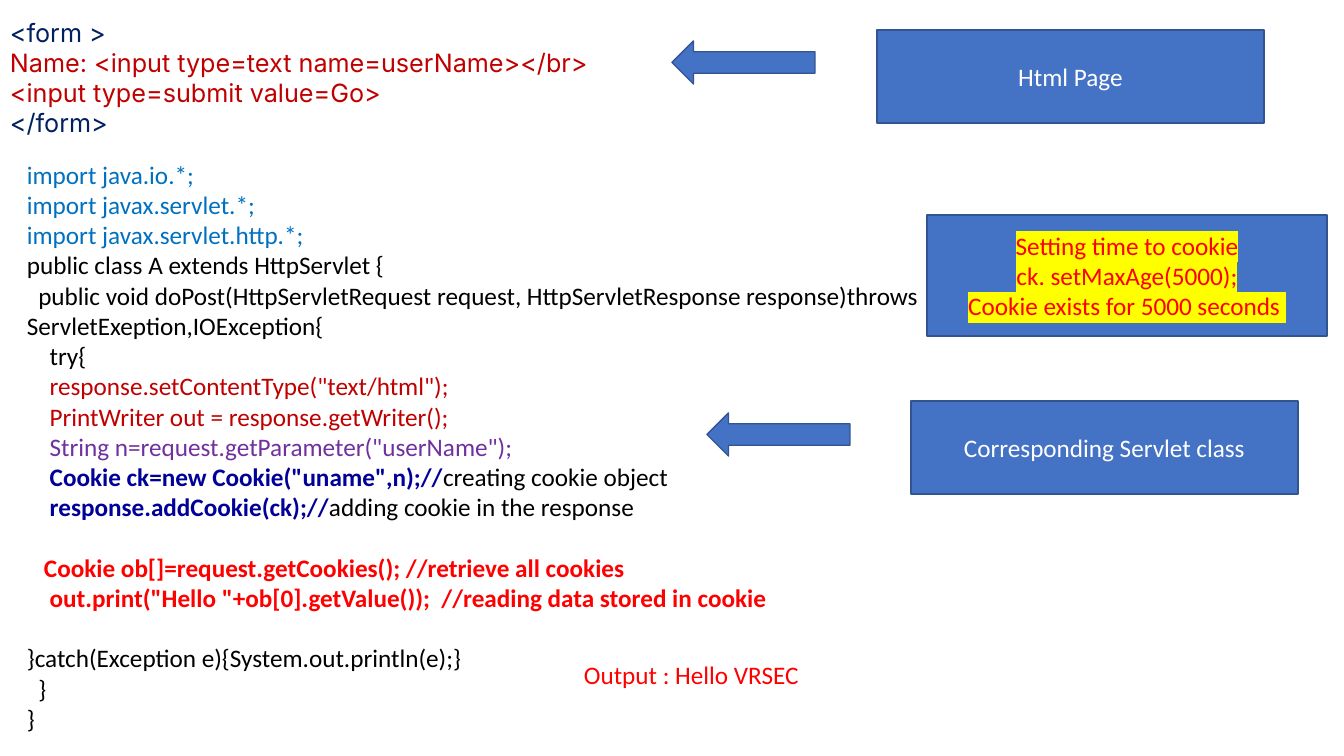
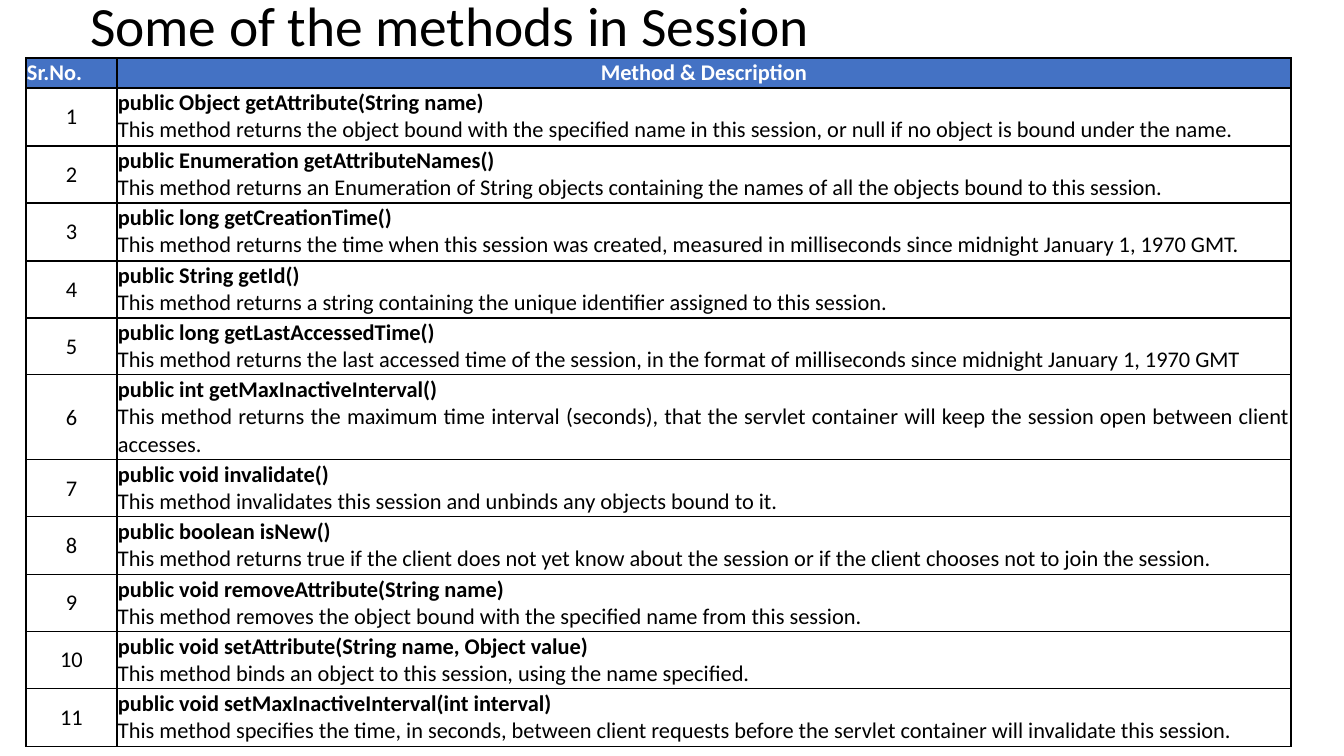
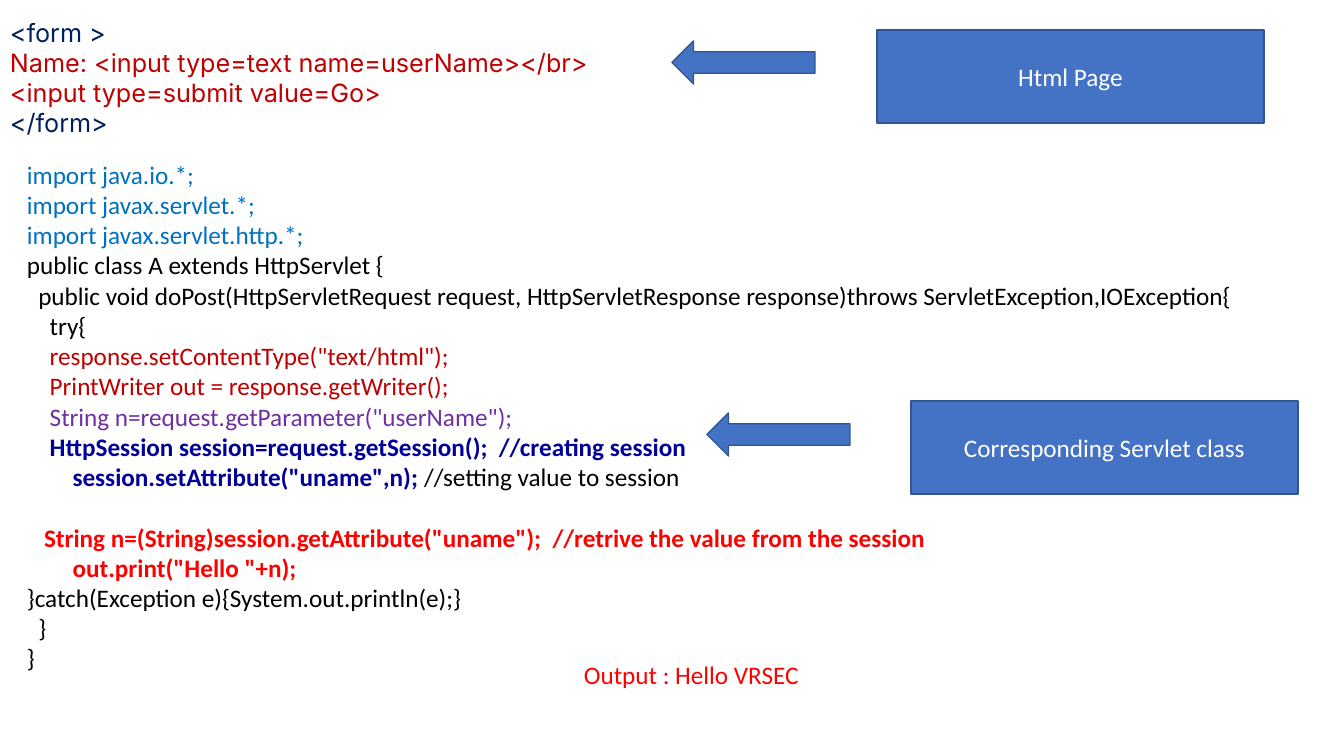
from itertools import pairwise

from lxml.etree import SubElement
from pptx import Presentation
from pptx.dml.color import RGBColor
from pptx.enum.shapes import MSO_SHAPE as SHAPE
from pptx.enum.text import MSO_ANCHOR as ANCHOR, MSO_AUTO_SIZE as AUTO, PP_ALIGN as ALIGN
from pptx.oxml import parse_xml
from pptx.oxml.ns import nsdecls, qn
from pptx.util import Emu, Pt

BLACK, WHITE, RED, YELLOW = "000000", "FFFFFF", "FF0000", "FFFF00"
BLUE, EDGE, SKY, NAVY = "4472C4", "325491", "0070C0", "002060"
MAROON, PURPLE, INDIGO = "C00000", "7030A0", "000099"
SPACE = 5.7
CODE_LINE = 21.6


def px(n):
    """Turn pixels into EMU."""
    return Emu(round(n * 914400 / 100.8))


def rgb(value):
    """Turn a hex string into a colour."""
    return RGBColor.from_string(value)


def line(indent, *runs, gap=0):
    """Describe a paragraph: indent in characters, runs, blank lines above."""
    return indent, runs, gap


class Deck:
    """Holds the shared style and the current slide."""

    def __init__(self):
        """Start a wide presentation."""
        self.prs = Presentation()
        self.prs.slide_width, self.prs.slide_height = px(1344), px(756)
        self.s = None

    def slide(self, title=None):
        """Add a slide, titled if a title is given."""
        self.s = self.prs.slides.add_slide(self.prs.slide_layouts[5 if title else 6])
        if title:
            sp = self.s.shapes.title
            sp.left, sp.top, sp.width, sp.height = map(px, (80, 0, 1159, 58))
            tf = sp.text_frame
            tf.auto_size, tf.vertical_anchor = AUTO.NONE, ANCHOR.MIDDLE
            self.fill_text(tf, [line(0, (title, BLACK))], 39.6, align=ALIGN.LEFT)
            tf.paragraphs[0].line_spacing = 0.9

    def fill_text(self, tf, lines, size=18, font="Calibri", align=None, mark=None):
        """Write paragraphs run by run."""
        for i, (indent, runs, gap) in enumerate(lines):
            p = tf.add_paragraph() if i else tf.paragraphs[0]
            p.alignment = align
            if indent:
                p._p.get_or_add_pPr().set("indent", str(px(indent * SPACE)))
            if gap:
                p.space_before = Pt(gap * CODE_LINE)
            for text, color, *bold in runs:
                r = p.add_run()
                r.text = text
                r.font.size, r.font.name, r.font.bold = Pt(size), font, bool(bold)
                r.font.color.rgb = rgb(color)
                if mark:
                    self.highlight(r, mark)

    def highlight(self, r, color):
        """Mark a run with a background colour."""
        fill = r._r.get_or_add_rPr().find(qn("a:solidFill"))
        fill.addnext(parse_xml(f'<a:highlight {nsdecls("a")}><a:srgbClr val="{color}"/></a:highlight>'))

    def text(self, box, lines, **style):
        """Add a wrapping text box."""
        tf = self.s.shapes.add_textbox(*map(px, box)).text_frame
        tf.word_wrap, tf.auto_size = True, AUTO.SHAPE_TO_FIT_TEXT
        self.fill_text(tf, lines, **style)

    def shape(self, kind, box, lines=(), **style):
        """Add a blue shape with centred text."""
        sp = self.s.shapes.add_shape(kind, *map(px, box))
        sp.shadow.inherit = False
        sp.fill.solid()
        sp.fill.fore_color.rgb = rgb(BLUE)
        sp.line.color.rgb, sp.line.width = rgb(EDGE), Pt(1)
        sp.text_frame.vertical_anchor = ANCHOR.MIDDLE
        self.fill_text(sp.text_frame, lines, align=ALIGN.CENTER, **style)

    def label(self, arrow, box, caption):
        """Add a captioned box and the arrow beside it."""
        self.shape(SHAPE.LEFT_ARROW, (*arrow, 143, 43))
        self.shape(SHAPE.RECTANGLE, (*box, 387, 93), [line(0, (caption, WHITE))])

    def cell(self, c, lines, align, fill=WHITE, anchor=ANCHOR.TOP):
        """Format a bordered table cell."""
        c.margin_left = c.margin_right = c.margin_top = c.margin_bottom = px(1)
        c.vertical_anchor = anchor
        tcPr = c._tc.get_or_add_tcPr()
        for side in ("lnL", "lnR", "lnT", "lnB"):
            ln = SubElement(tcPr, qn(f"a:{side}"), w=str(Pt(1)))
            SubElement(SubElement(ln, qn("a:solidFill")), qn("a:srgbClr"), val=BLACK)
        c.fill.solid()
        c.fill.fore_color.rgb = rgb(fill)
        self.fill_text(c.text_frame, lines, 16, align=align)

    def table(self, left, edges, widths, heads, rows):
        """Add a numbered table of methods with row edges given."""
        box = left, edges[0], sum(widths), edges[-1] - edges[0]
        t = self.s.shapes.add_table(len(rows) + 1, len(widths), *map(px, box)).table
        for col, width in zip(t.columns, widths):
            col.width = px(width)
        for row, (top, bottom) in zip(t.rows, pairwise(edges)):
            row.height = px(bottom - top)
        for i, (head, align) in enumerate(zip(heads, (ALIGN.LEFT, ALIGN.CENTER))):
            self.cell(t.cell(0, i), [line(0, (head, WHITE, True))], align, BLUE)
        for n, (method, about) in enumerate(rows, 1):
            self.cell(t.cell(n, 0), [line(0, (str(n), BLACK))], ALIGN.CENTER, anchor=ANCHOR.MIDDLE)
            lines = [line(0, (method, BLACK, True)), line(0, (about, BLACK))]
            self.cell(t.cell(n, 1), lines, ALIGN.JUSTIFY)

    def servlet(self, code_size, exception, body, closing_gap=0):
        """Add a slide with a form, its servlet code and the output."""
        self.slide()
        self.text((0, 12, 672, 132), FORM, font="Inter", align=ALIGN.JUSTIFY)
        signature = ("public void doPost(HttpServletRequest request, "
                     f"HttpServletResponse response)throws {exception},IOException{{")
        closing = [
            line(0, ("}catch(Exception e){System.out.println(e);}", BLACK), gap=closing_gap),
            line(2, ("}", BLACK)),
            line(0, ("}", BLACK)),
        ]
        code = [*IMPORTS, line(2, (signature, BLACK)), *REQUEST, *body, *closing]
        self.text((17, 154, *code_size), code)
        self.text((574, 654, 396, 40), [line(0, ("Output : Hello VRSEC", RED))])
        self.label((672, 41), (877, 30), "Html Page")
        self.label((707, 413), (911, 401), "Corresponding Servlet class")


FORM = [
    line(0, ("<form >", NAVY)),
    line(0, ("Name: <input type=text name=userName></br>", MAROON)),
    line(0, ("<input type=submit value=Go>", MAROON)),
    line(0, ("</form>", NAVY)),
]
IMPORTS = [
    line(0, ("import java.io.*;", SKY)),
    line(0, ("import javax.servlet.*;", SKY)),
    line(0, ("import javax.servlet.http.*;", SKY)),
    line(0, ("public class A extends HttpServlet {", BLACK)),
]
REQUEST = [
    line(4, ("try{", BLACK)),
    line(4, ('response.setContentType("text/html");', MAROON)),
    line(4, ("PrintWriter out = response.getWriter();", MAROON)),
    line(4, ('String n=request.getParameter("userName");', PURPLE)),
]
COOKIE = [
    line(4, ('Cookie ck=new Cookie("uname",n);//', INDIGO, True), ("creating cookie object", BLACK)),
    line(4, ("response.addCookie(ck);//", INDIGO, True), ("adding cookie in the response", BLACK)),
    line(3, ("Cookie ob[]=request.getCookies(); //retrieve all cookies", RED, True), gap=1),
    line(4, ('out.print("Hello "+ob[0].getValue());  //reading data stored in cookie', RED, True)),
]
SESSION = [
    line(4, ("HttpSession session=request.getSession();  //creating session", INDIGO, True)),
    line(8, ('session.setAttribute("uname",n);', INDIGO, True), (" //setting value to session", BLACK)),
    line(3, ('String n=(String)session.getAttribute("uname");  //retrive the value from the session',
             RED, True), gap=1),
    line(8, ('out.print("Hello "+n);', RED, True)),
]
COOKIE_AGE = [
    line(0, ("Setting time to cookie", RED)),
    line(0, ("ck. setMaxAge(5000);", RED)),
    line(0, ("Cookie exists for 5000 seconds ", RED)),
]
METHODS = [
    ("public Object getAttribute(String name)",
     "This method returns the object bound with the specified name in this session, "
     "or null if no object is bound under the name."),
    ("public Enumeration getAttributeNames()",
     "This method returns an Enumeration of String objects containing the names of "
     "all the objects bound to this session."),
    ("public long getCreationTime()",
     "This method returns the time when this session was created, measured in "
     "milliseconds since midnight January 1, 1970 GMT."),
    ("public String getId()",
     "This method returns a string containing the unique identifier assigned to this session."),
    ("public long getLastAccessedTime()",
     "This method returns the last accessed time of the session, in the format of "
     "milliseconds since midnight January 1, 1970 GMT"),
    ("public int getMaxInactiveInterval()",
     "This method returns the maximum time interval (seconds), that the servlet "
     "container will keep the session open between client accesses."),
    ("public void invalidate()",
     "This method invalidates this session and unbinds any objects bound to it."),
    ("public boolean isNew()",
     "This method returns true if the client does not yet know about the session or "
     "if the client chooses not to join the session."),
    ("public void removeAttribute(String name)",
     "This method removes the object bound with the specified name from this session."),
    ("public void setAttribute(String name, Object value)",
     "This method binds an object to this session, using the name specified."),
    ("public void setMaxInactiveInterval(int interval)",
     "This method specifies the time, in seconds, between client requests before the "
     "servlet container will invalidate this session."),
]
ROW_EDGES = [58, 88, 146, 203, 261, 318, 375, 460, 517, 575, 632, 689, 747]

deck = Deck()

deck.servlet((1188, 591), "ServletExeption", COOKIE, closing_gap=1)
deck.shape(SHAPE.RECTANGLE, (927, 215, 400, 121), COOKIE_AGE, mark=YELLOW)

deck.slide("Some of the methods in Session")
deck.table(26, ROW_EDGES, (91, 1174), ("Sr.No.", "Method & Description"), METHODS)

deck.servlet((1246, 529), "ServletException", SESSION)

deck.prs.save("out.pptx")
